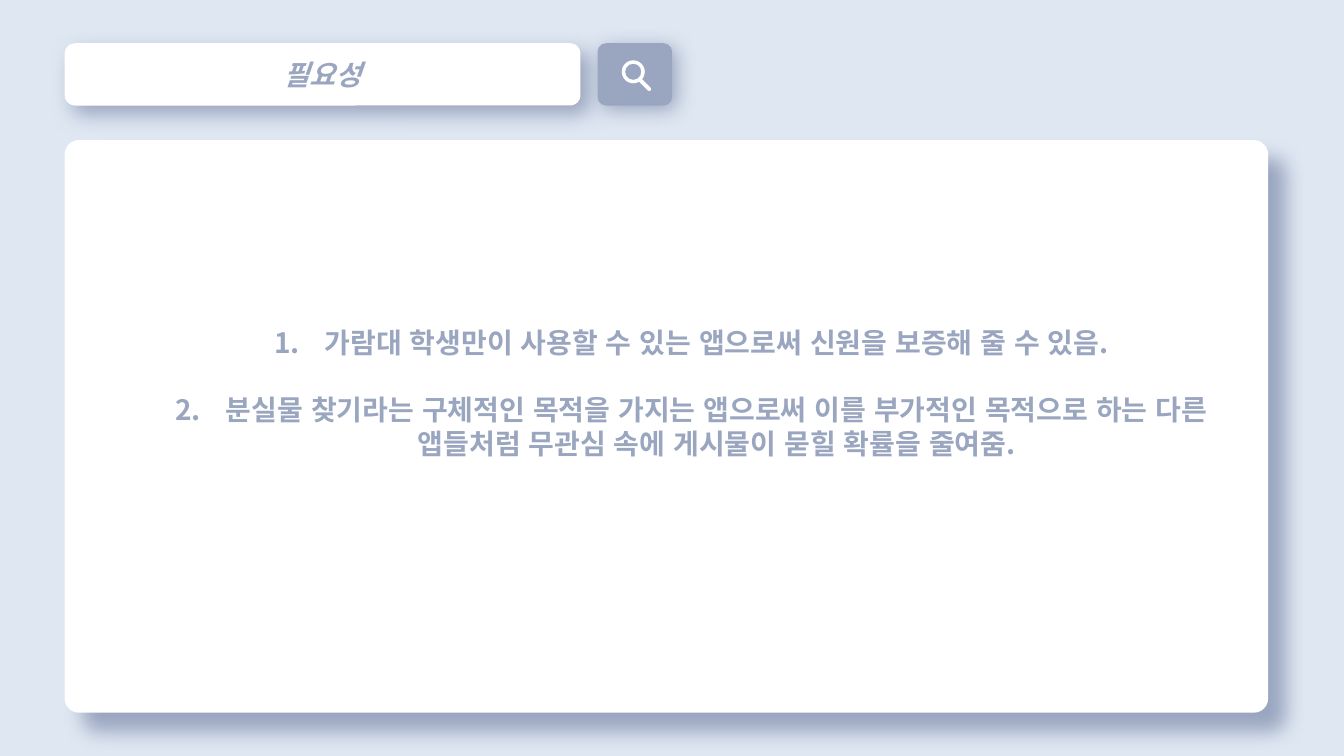
import pptx
import pptx.dml.color
import pptx.enum.shapes
import pptx.enum.text
import pptx.oxml
import pptx.oxml.ns
import pptx.util
from pptx.util import Cm, Pt

TITLE = "필요성"
REASONS = [
    "가람대 학생만이 사용할 수 있는 앱으로써 신원을 보증해 줄 수 있음.",
    "분실물 찾기라는 구체적인 목적을 가지는 앱으로써 이를 부가적인 목적으로 하는 "
    "다른 앱들처럼 무관심 속에 게시물이 묻힐 확률을 줄여줌.",
]
FONT = "Noto Sans CJK KR"
PALE, WHITE, SLATE = "DFE7F2", "FFFFFF", "9AA6C0"
LINE = Pt(24)

# left, top, width, height in centimetres
TITLE_BAR = (1.63, 1.09, 13.0, 1.57)
SEARCH_BUTTON = (15.06, 1.09, 1.88, 1.57)
LENS = (15.67, 1.52, 0.58, 0.58)
HANDLE = (16.2, 1.93, 0.1, 0.41)
PANEL = (1.63, 3.53, 30.33, 14.43)

ROUNDED = pptx.enum.shapes.MSO_SHAPE.ROUNDED_RECTANGLE
DONUT = pptx.enum.shapes.MSO_SHAPE.DONUT


def paint(fill, color):
    fill.solid()
    fill.fore_color.rgb = pptx.dml.color.RGBColor.from_string(color)


def add_shape(slide, kind, box, color, rounding, shadow_distance=None):
    """Add a borderless shape; a distance in points gives it a soft shadow."""
    shape = slide.shapes.add_shape(kind, *map(Cm, box))
    shape.adjustments[0] = rounding
    paint(shape.fill, color)
    shape.line.fill.background()
    shape.shadow.inherit = False
    if shadow_distance:
        effects = shape._element.spPr.find(pptx.oxml.ns.qn("a:effectLst"))
        effects.append(pptx.oxml.parse_xml(
            f'<a:outerShdw {pptx.oxml.ns.nsdecls("a")} blurRad="{Pt(15)}" '
            f'dist="{Pt(shadow_distance)}" dir="{45 * 60000}" algn="tl" '
            f'rotWithShape="0"><a:srgbClr val="{SLATE}"/></a:outerShdw>'))
    return shape


def write(paragraph, text, italic=False):
    paragraph.text = text
    paragraph.alignment = pptx.enum.text.PP_ALIGN.CENTER
    font = paragraph.font
    font.name, font.size, font.bold, font.italic = FONT, Pt(20), True, italic
    paint(font.fill, SLATE)
    for run in paragraph.runs:
        run_properties = run._r.get_or_add_rPr()
        run_properties.set("lang", "ko-KR")
        run_properties.append(pptx.oxml.parse_xml(
            f'<a:ea {pptx.oxml.ns.nsdecls("a")} typeface="{FONT}"/>'))


def number(paragraph):
    """Number the paragraph with a hanging indent."""
    properties = paragraph._p.get_or_add_pPr()
    properties.set("marL", str(Cm(2.54)))
    properties.set("indent", str(-Cm(1.27)))
    bullet = pptx.oxml.parse_xml(
        f'<a:buAutoNum {pptx.oxml.ns.nsdecls("a")} type="arabicPeriod"/>')
    properties.find(pptx.oxml.ns.qn("a:defRPr")).addprevious(bullet)


def main():
    presentation = pptx.Presentation()
    presentation.slide_width, presentation.slide_height = Cm(33.87), Cm(19.05)
    slide = presentation.slides.add_slide(presentation.slide_layouts[6])
    paint(slide.background.fill, PALE)

    title_bar = add_shape(slide, ROUNDED, TITLE_BAR, WHITE, 0.167, 8)
    write(title_bar.text_frame.paragraphs[0], TITLE, italic=True)

    add_shape(slide, ROUNDED, SEARCH_BUTTON, SLATE, 0.138, 4)
    add_shape(slide, DONUT, LENS, WHITE, 0.148)
    add_shape(slide, ROUNDED, HANDLE, WHITE, 0.5).rotation = 315

    panel = add_shape(slide, ROUNDED, PANEL, WHITE, 0.025, 19)
    frame = panel.text_frame
    frame.word_wrap = True
    frame.margin_bottom = Cm(0.13) + 2 * LINE
    for index, reason in enumerate(REASONS):
        paragraph = frame.add_paragraph() if index else frame.paragraphs[0]
        write(paragraph, reason)
        paragraph.level = 1
        paragraph.line_spacing = LINE
        paragraph.space_before = LINE if index else Pt(0)
        number(paragraph)

    presentation.save("out.pptx")


if __name__ == "__main__":
    main()
